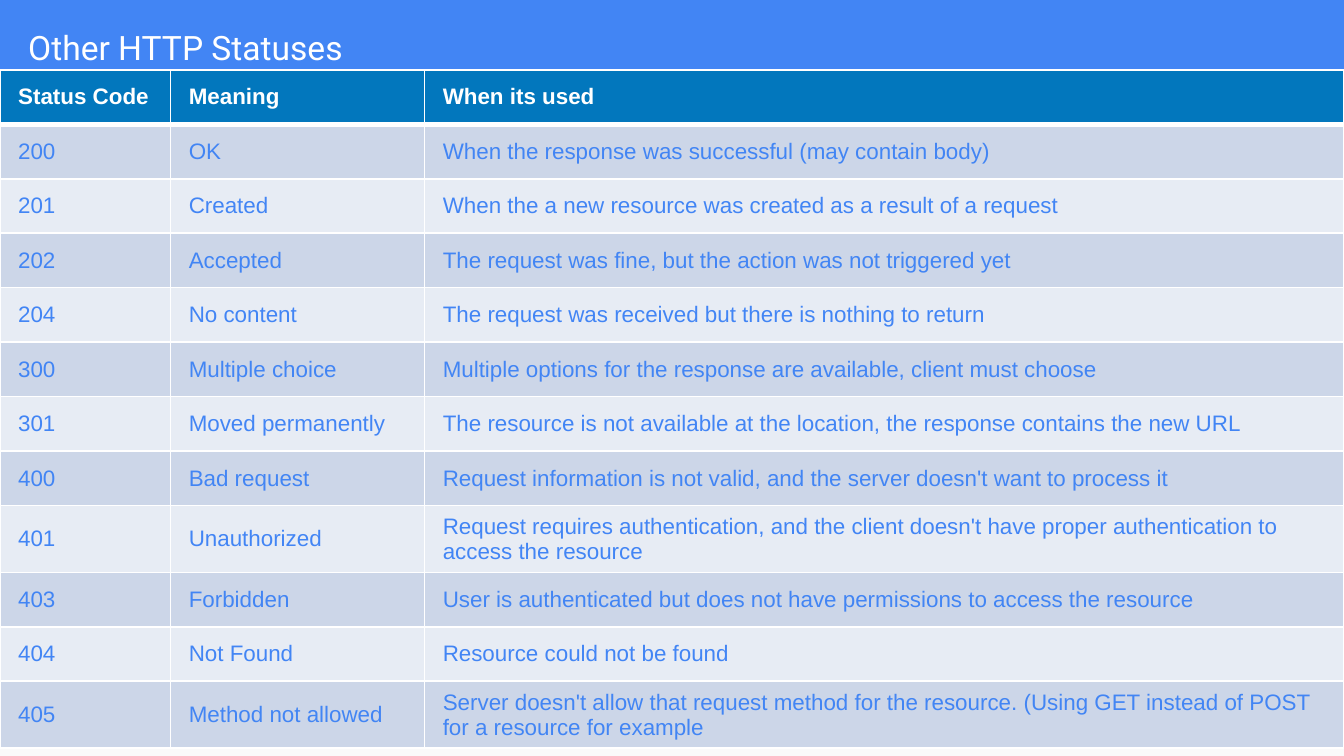
from pptx import Presentation
from pptx.dml.color import RGBColor
from pptx.enum.shapes import MSO_SHAPE
from pptx.enum.text import MSO_ANCHOR, PP_ALIGN
from pptx.util import Inches, Pt
from lxml.etree import SubElement
from pptx.oxml.ns import qn

COLORS = {
    "blue": "4285F4",
    "panel": "FAFAFA",
    "header": "0277BD",
    "odd": "CCD6E8",
    "even": "E7ECF4",
    "white": "FFFFFF",
}
ROWS = [
    ("Status Code", "Meaning", "When its used"),
    ("200", "OK", "When the response was successful (may contain body)"),
    ("201", "Created", "When the a new resource was created as a result of a request"),
    ("202", "Accepted", "The request was fine, but the action was not triggered yet"),
    ("204", "No content", "The request was received but there is nothing to return"),
    ("300", "Multiple choice", "Multiple options for the response are available, client must choose"),
    ("301", "Moved permanently", "The resource is not available at the location, the response contains the new URL"),
    ("400", "Bad request", "Request information is not valid, and the server doesn't want to process it"),
    ("401", "Unauthorized", "Request requires authentication, and the client doesn't have proper authentication to access the resource"),
    ("403", "Forbidden", "User is authenticated but does not have permissions to access the resource"),
    ("404", "Not Found", "Resource could not be found"),
    ("405", "Method not allowed", "Server doesn't allow that request method for the resource. (Using GET instead of POST for a resource for example"),
]


def rgb(name):
    return RGBColor.from_string(COLORS[name])


def format_text(tf, font, size, color, bold=False):
    p = tf.paragraphs[0]
    p.alignment = PP_ALIGN.LEFT
    r = p.runs[0]
    r.font.name = font
    r.font.size = Pt(size)
    r.font.bold = bold
    r.font.color.rgb = rgb(color)


prs = Presentation()
prs.slide_width = Inches(10)
prs.slide_height = prs.slide_width * 9 // 16
W, H = prs.slide_width, prs.slide_height
s = prs.slides.add_slide(prs.slide_layouts[5])
s.background.fill.solid()
s.background.fill.fore_color.rgb = rgb("blue")

top = Inches(0.72)
panel = s.shapes.add_shape(MSO_SHAPE.RECTANGLE, 0, top, W, H - top)
panel.shadow.inherit = False
panel.fill.solid()
panel.fill.fore_color.rgb = rgb("panel")
panel.line.fill.background()

title = s.shapes.title
panel._element.addnext(title._element)
title.left, title.top = Inches(0.11), Inches(0.02)
title.width, title.height = Inches(9.65), Inches(0.66)
tf = title.text_frame
tf.text = "Other HTTP Statuses"
tf.vertical_anchor = MSO_ANCHOR.MIDDLE
tf.margin_left = tf.margin_right = tf.margin_top = tf.margin_bottom = Inches(0.1)
format_text(tf, "Roboto", 18, "white")

row_height = int(H / 13.88)
table = s.shapes.add_table(len(ROWS), 3, 0, Inches(0.52), W, row_height * len(ROWS)).table
for column, width in zip(table.columns, (1.27, 1.89, 6.84)):
    column.width = Inches(width)

for i, row in enumerate(ROWS):
    table.rows[i].height = row_height
    header = i == 0
    fill = "header" if header else "odd" if i % 2 else "even"
    for j, text in enumerate(row):
        cell = table.cell(i, j)
        cell.text_frame.text = text
        cell.vertical_anchor = MSO_ANCHOR.MIDDLE
        cell.margin_left = cell.margin_right = Pt(9.75)
        cell.margin_top = cell.margin_bottom = Pt(4.5)
        format_text(cell.text_frame, "Arial", 12, "white" if header else "blue", header)
        tcPr = cell._tc.get_or_add_tcPr()
        for side in "LRTB":
            thick = (header and side == "B") or (i == 1 and side == "T")
            ln = SubElement(tcPr, qn(f"a:ln{side}"), w=str(Pt(3 if thick else 1)))
            SubElement(SubElement(ln, qn("a:solidFill")), qn("a:srgbClr"), val=COLORS["white"])
        cell.fill.solid()
        cell.fill.fore_color.rgb = rgb(fill)

prs.save("out.pptx")
